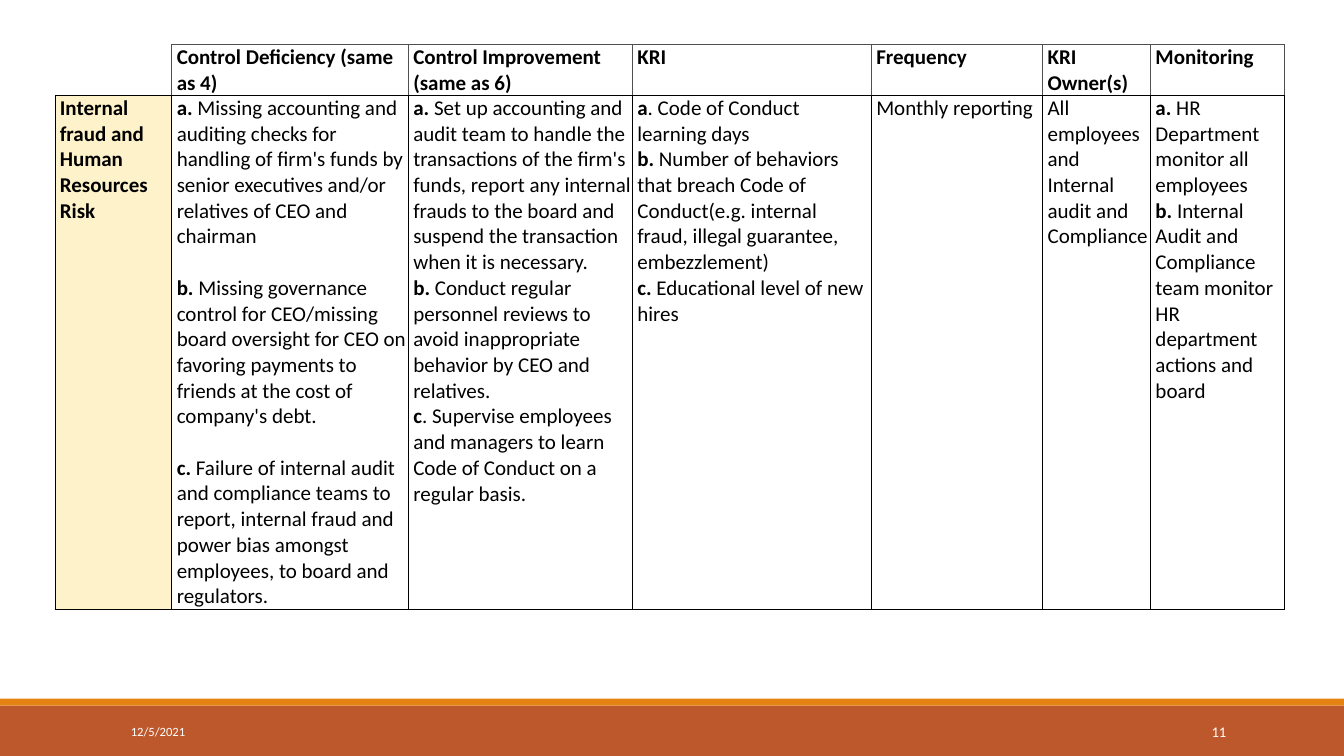
from lxml.etree import SubElement
from pptx import Presentation
from pptx.dml.color import RGBColor
from pptx.enum.shapes import MSO_SHAPE
from pptx.enum.text import MSO_ANCHOR, PP_ALIGN
from pptx.oxml.ns import qn
from pptx.util import Inches, Pt

HEADERS = ["", "Control Deficiency (same as 4)", "Control Improvement (same as 6)",
           "KRI", "Frequency", "KRI Owner(s)", "Monitoring"]
RISK = "Internal fraud and Human Resources Risk"
DEFICIENCIES = [
    ("a.", " Missing accounting and auditing checks for handling of firm's funds by "
           "senior executives and/or relatives of CEO and chairman"),
    ("b.", " Missing governance control for CEO/missing board oversight for CEO on "
           "favoring payments to friends at the cost of company's debt."),
    ("c.", " Failure of internal audit and compliance teams to report, internal fraud "
           "and power bias amongst employees, to board and regulators."),
]
IMPROVEMENTS = [
    ("a.", " Set up accounting and audit team to handle the transactions of the firm's "
           "funds, report any internal frauds to the board and suspend the transaction "
           "when it is necessary."),
    ("b.", " Conduct regular personnel reviews to avoid inappropriate behavior by CEO "
           "and relatives."),
    ("c", ". Supervise employees and managers to learn Code of Conduct on a regular basis."),
]
INDICATORS = [
    ("a", ". Code of Conduct learning days"),
    ("b.", " Number of behaviors that breach Code of Conduct(e.g. internal fraud, "
           "illegal guarantee, embezzlement)"),
    ("c.", " Educational level of new hires"),
]
MONITORING = [
    ("a.", " HR Department monitor all employees"),
    ("b.", " Internal Audit and Compliance team monitor HR department actions and board"),
]
COLUMN_SHARES = [8.7, 17.6, 16.67, 17.78, 12.75, 8.03, 9.98]
ROW_SHARES = [6.75, 68]


def color(value):
    return RGBColor.from_string(value)


class SlideBuilder:
    font = "Calibri"
    ink = "000000"
    header_line = "505050"
    body_size = 15
    line_gap = 18.3

    def __init__(self, prs):
        self.width, self.height = prs.slide_width, prs.slide_height
        self.slide = prs.slides.add_slide(prs.slide_layouts[6])

    def x(self, share):
        return round(self.width * share / 100)

    def y(self, share):
        return round(self.height * share / 100)

    def box(self, left, top, width, height):
        return self.x(left), self.y(top), self.x(width), self.y(height)

    def style(self, r, size, ink, bold=False):
        r.font.name, r.font.size, r.font.bold = self.font, Pt(size), bold
        r.font.color.rgb = color(ink)

    def bar(self, top, height, fill):
        sp = self.slide.shapes.add_shape(MSO_SHAPE.RECTANGLE, *self.box(0, top, 100, height))
        sp.shadow.inherit = False
        sp.fill.solid()
        sp.fill.fore_color.rgb = color(fill)
        sp.line.fill.background()

    def label(self, text, left, width, size, align):
        sp = self.slide.shapes.add_textbox(*self.box(left, 94.13, width, 5.33))
        tf = sp.text_frame
        tf.word_wrap = True
        tf.vertical_anchor = MSO_ANCHOR.MIDDLE
        tf.text = text
        p = tf.paragraphs[0]
        p.alignment = align
        self.style(p.runs[0], size, "FFFFFF")

    def borders(self, cell, colors):
        tc_pr = cell._tc.get_or_add_tcPr()
        for side, value in zip("LRTB", colors):
            ln = SubElement(tc_pr, qn("a:ln" + side), w=str(Pt(0.5)))
            if value:
                fill = SubElement(ln, qn("a:solidFill"))
                SubElement(fill, qn("a:srgbClr"), val=value)
            else:
                SubElement(ln, qn("a:noFill"))

    def cell(self, cell, content, bold=False, gap=0, fill=None):
        cell.margin_left = Inches(0.05)
        cell.margin_right = cell.margin_top = cell.margin_bottom = 0
        if fill:
            cell.fill.solid()
            cell.fill.fore_color.rgb = color(fill)
        else:
            cell.fill.background()
        tf = cell.text_frame
        if isinstance(content, str):
            tf.text = content
            for r in tf.paragraphs[0].runs:
                self.style(r, self.body_size, self.ink, bold)
            return
        for i, parts in enumerate(content):
            p = tf.add_paragraph() if i else tf.paragraphs[0]
            p.space_before = Pt(gap if i else 0)
            for text, strong in zip(parts, (True, False)):
                r = p.add_run()
                r.text = text
                self.style(r, self.body_size, self.ink, strong)

    def table(self, left, top, columns, rows, records):
        frame = self.slide.shapes.add_table(
            len(rows), len(columns), *self.box(left, top, sum(columns), sum(rows)))
        table = frame.table
        table.first_row = table.horz_banding = False
        for column, share in zip(table.columns, columns):
            column.width = self.x(share)
        for row, share in zip(table.rows, rows):
            row.height = self.y(share)
        for i, record in enumerate(records):
            for j, content in enumerate(record):
                cell = table.cell(i, j)
                side = self.ink if i else self.header_line
                corner = i == 0 and j == 0
                outer = None if corner else side
                above = self.ink if i else outer
                self.borders(cell, (outer, side, above, self.ink))
                self.cell(cell, content, bold=i == 0 or j == 0,
                          gap=self.line_gap if j == 1 else 0,
                          fill="FEF2CB" if i and j == 0 else None)


def main():
    prs = Presentation()
    prs.slide_width, prs.slide_height = Inches(13.33), Inches(7.5)
    s = SlideBuilder(prs)
    s.bar(93.33, 6.67, "BD582C")
    s.bar(92.4, 0.93, "E48312")
    s.label("12/5/2021", 9, 20.25, 9, PP_ALIGN.LEFT)
    s.label("11", 81.25, 10.73, 10.5, PP_ALIGN.RIGHT)
    s.table(4.08, 5.87, COLUMN_SHARES, ROW_SHARES, [
        HEADERS,
        [RISK, DEFICIENCIES, IMPROVEMENTS, INDICATORS, "Monthly reporting",
         "All employees and Internal audit and Compliance", MONITORING],
    ])
    prs.save("out.pptx")


if __name__ == "__main__":
    main()
